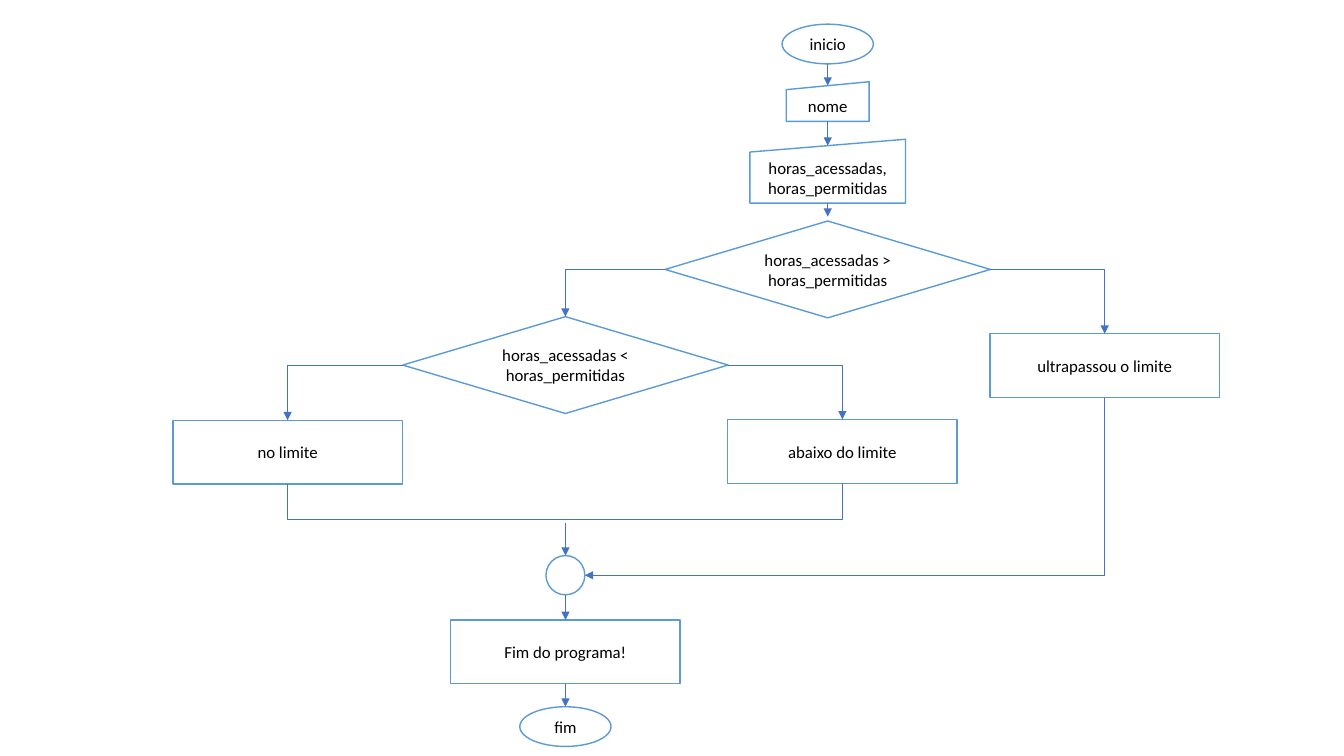
from dataclasses import dataclass

from lxml.etree import SubElement
from pptx import Presentation
from pptx.dml.color import RGBColor
from pptx.enum.shapes import MSO_CONNECTOR, MSO_SHAPE
from pptx.enum.text import MSO_ANCHOR, PP_ALIGN
from pptx.oxml.ns import qn
from pptx.shapes.connector import Connector
from pptx.slide import Slide
from pptx.util import Cm, Pt

WHITE = RGBColor(0xFF, 0xFF, 0xFF)
BLACK = RGBColor(0x00, 0x00, 0x00)
OUTLINE = RGBColor(0x5B, 0x9B, 0xD5)
FLOW = RGBColor(0x44, 0x72, 0xC4)
Point = tuple[float, float]


@dataclass(frozen=True)
class Kind:
    preset: MSO_SHAPE
    width: float
    height: float


TERMINAL = Kind(MSO_SHAPE.OVAL, 2.3, 1)
NAME_INPUT = Kind(MSO_SHAPE.FLOWCHART_MANUAL_INPUT, 2.09, 1)
HOURS_INPUT = Kind(MSO_SHAPE.FLOWCHART_MANUAL_INPUT, 3.92, 1.61)
DECISION = Kind(MSO_SHAPE.FLOWCHART_DECISION, 8.2, 2.44)
PROCESS = Kind(MSO_SHAPE.RECTANGLE, 5.78, 1.61)
JUNCTION = Kind(MSO_SHAPE.FLOWCHART_CONNECTOR, 0.98, 0.99)


@dataclass(frozen=True)
class Step:
    """A flowchart step, placed by its centre line and top edge in centimetres."""
    kind: Kind
    center: float
    y: float
    text: str = ""

    @property
    def top(self) -> Point:
        slanted = self.kind.preset == MSO_SHAPE.FLOWCHART_MANUAL_INPUT
        return self.center, self.y + (self.kind.height / 10 if slanted else 0)

    @property
    def bottom(self) -> Point:
        return self.center, self.y + self.kind.height

    @property
    def left(self) -> Point:
        return self.center - self.kind.width / 2, self.y + self.kind.height / 2

    @property
    def right(self) -> Point:
        return self.center + self.kind.width / 2, self.y + self.kind.height / 2


MAIN_AXIS, MERGE_AXIS = 20.86, 14.25
START = Step(TERMINAL, MAIN_AXIS, 0.61, "inicio")
NAME = Step(NAME_INPUT, MAIN_AXIS, 2.06, "nome")
HOURS = Step(HOURS_INPUT, MAIN_AXIS, 3.51, "horas_acessadas, horas_permitidas")
IS_ABOVE = Step(DECISION, MAIN_AXIS, 5.57, "horas_acessadas > horas_permitidas")
IS_BELOW = Step(DECISION, MERGE_AXIS, 7.98, "horas_acessadas < horas_permitidas")
ABOVE = Step(PROCESS, 27.84, 8.41, "ultrapassou o limite")
BELOW = Step(PROCESS, 21.23, 10.57, "abaixo do limite")
EQUAL = Step(PROCESS, 7.25, 10.59, "no limite")
END = Step(TERMINAL, MERGE_AXIS, 17.81, "fim")
MERGE = Step(JUNCTION, MERGE_AXIS, 14)
MESSAGE = Step(PROCESS, MERGE_AXIS, 15.62, "Fim do programa!")
STEPS = [START, NAME, HOURS, IS_ABOVE, IS_BELOW, ABOVE, BELOW, EQUAL, END, MERGE, MESSAGE]

STRAIGHT_ARROWS = [
    (START.bottom, NAME.top),
    (NAME.bottom, HOURS.top),
    (HOURS.bottom, (MAIN_AXIS, 5.46)),
    ((MERGE_AXIS, 13.18), MERGE.top),
    (MERGE.bottom, MESSAGE.top),
    (MESSAGE.bottom, END.top),
]
BRANCHES = [
    (IS_ABOVE.right, ABOVE.top),
    (IS_ABOVE.left, IS_BELOW.top),
    (IS_BELOW.left, EQUAL.top),
    (IS_BELOW.right, BELOW.top),
]
JOIN_LEVEL = 13.08


def draw_step(page: Slide, step: Step) -> None:
    kind = step.kind
    box = page.shapes.add_shape(kind.preset, Cm(step.left[0]), Cm(step.y),
                                Cm(kind.width), Cm(kind.height))
    box.shadow.inherit = False
    box.fill.solid()
    box.fill.fore_color.rgb = WHITE
    box.line.color.rgb = OUTLINE
    box.line.width = Pt(1)
    if not step.text:
        return
    box.text_frame.word_wrap = True
    box.text_frame.vertical_anchor = MSO_ANCHOR.MIDDLE
    para = box.text_frame.paragraphs[0]
    para.alignment = PP_ALIGN.CENTER
    span = para.add_run()
    span.text = step.text
    span.font.name = "Calibri"
    span.font.size = Pt(12)
    span.font.color.rgb = BLACK


def draw_line(page: Slide, start: Point, end: Point, bend: str = "",
              arrow: bool = True) -> Connector:
    """Draw a line; a bend preset leaves the start horizontally."""
    style = MSO_CONNECTOR.ELBOW if bend else MSO_CONNECTOR.STRAIGHT
    line = page.shapes.add_connector(style, *(Cm(value) for value in start + end))
    line.line.color.rgb = FLOW
    line.line.width = Pt(0.5)
    properties = line._element.spPr
    if bend:
        properties.find(qn("a:prstGeom")).set("prst", bend)
    if arrow:
        SubElement(line.line._get_or_add_ln(), qn("a:tailEnd"), type="triangle")
    SubElement(properties, qn("a:effectLst"))
    return line


def draw_descent(page: Slide, start: Point, end: Point, bend: str,
                 arrow: bool = True) -> Connector:
    """Draw a bend that leaves the start downwards and then turns left."""
    middle_x, middle_y = (start[0] + end[0]) / 2, (start[1] + end[1]) / 2
    half_drop, half_run = (end[1] - start[1]) / 2, (start[0] - end[0]) / 2
    line = draw_line(page, (middle_x - half_drop, middle_y - half_run),
                     (middle_x + half_drop, middle_y + half_run), bend, arrow)
    line._element.spPr.find(qn("a:xfrm")).set("rot", str(90 * 60000))
    return line


def draw_join(page: Slide) -> None:
    """Join the two lower results with a line that dips to the join level."""
    start, end = BELOW.bottom, EQUAL.bottom
    line = draw_descent(page, start, end, "bentConnector3", arrow=False)
    dip = (JOIN_LEVEL - start[1]) / (end[1] - start[1])
    adjustments = line._element.spPr.find(qn("a:prstGeom")).find(qn("a:avLst"))
    SubElement(adjustments, qn("a:gd"), name="adj1", fmla=f"val {round(dip * 100000)}")


def main() -> None:
    deck = Presentation()
    deck.slide_width, deck.slide_height = Cm(33.87), Cm(19.05)
    page = deck.slides.add_slide(deck.slide_layouts[6])
    for step in STEPS:
        draw_step(page, step)
    for start, end in STRAIGHT_ARROWS:
        draw_line(page, start, end)
    for start, end in BRANCHES:
        draw_line(page, start, end, "bentConnector2")
    draw_join(page)
    draw_descent(page, ABOVE.bottom, MERGE.right, "bentConnector2")
    deck.save("out.pptx")


if __name__ == "__main__":
    main()
